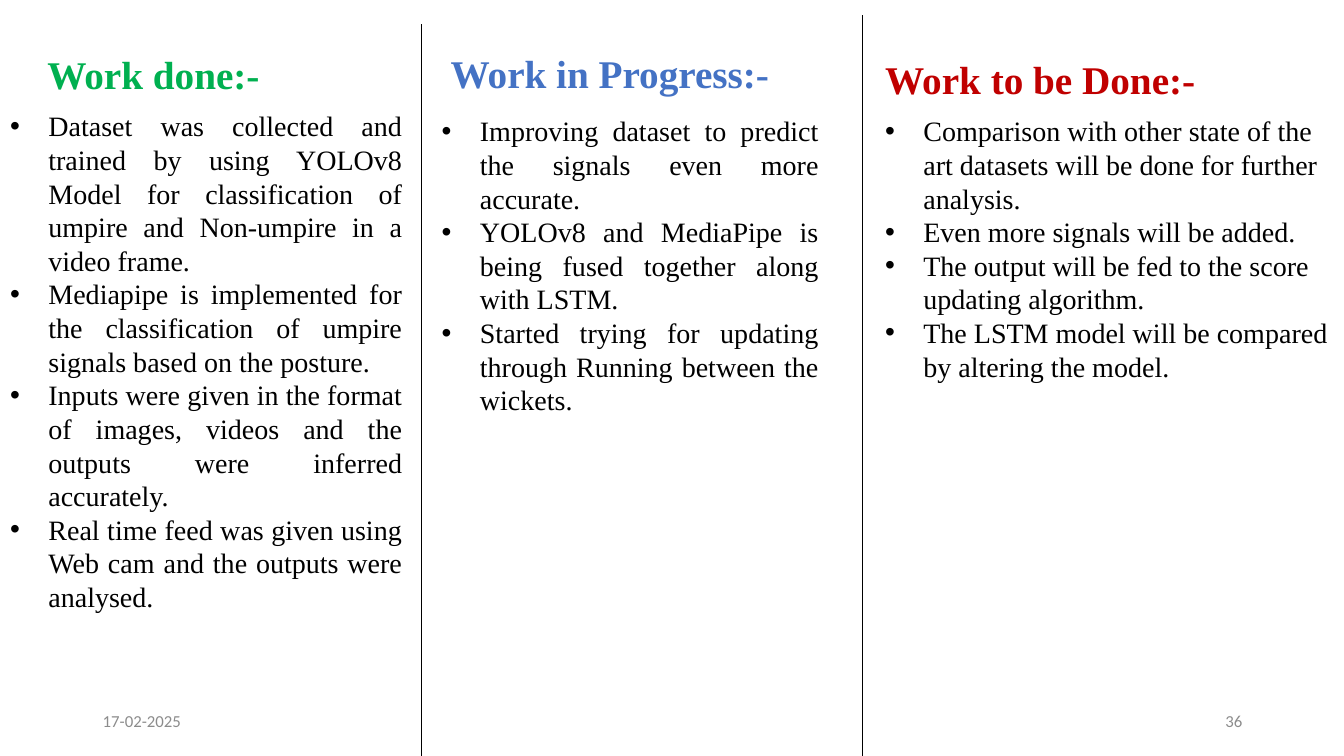
from dataclasses import dataclass

from lxml import etree
from pptx import Presentation
from pptx.dml.color import RGBColor
from pptx.enum import shapes, text
from pptx.oxml.ns import qn
from pptx.util import Inches, Pt


@dataclass(frozen=True)
class Theme:
    font: str = "Times New Roman"
    footer_font: str = "Calibri"
    heading_size: int = 28
    list_size: int = 20
    footer_size: int = 12
    ink: str = "000000"
    footer: str = "8C8C8C"
    done: str = "00B050"
    progress: str = "4472C4"
    planned: str = "C00000"


theme = Theme()
LEFT, RIGHT, JUSTIFY = text.PP_ALIGN.LEFT, text.PP_ALIGN.RIGHT, text.PP_ALIGN.JUSTIFY
TOP, MIDDLE = text.MSO_ANCHOR.TOP, text.MSO_ANCHOR.MIDDLE

# Content: boxes are left, top, width, height in inches
COLUMNS = [
    dict(heading="Work done:-", color=theme.done, heading_box=(0.37, 0.45, 3.36, 0.57),
         list_box=(0, 1.03, 4.09, 5.45), align=JUSTIFY, items=[
             "Dataset was collected and trained by using YOLOv8 Model for classification "
             "of umpire and Non-umpire in a video frame.",
             "Mediapipe is implemented for the classification of umpire signals based on "
             "the posture.",
             "Inputs were given in the format of images, videos and the outputs were "
             "inferred accurately.",
             "Real time feed was given using Web cam and the outputs were analysed."]),
    dict(heading="Work in Progress:-", color=theme.progress, heading_box=(4.37, 0.44, 4.03, 0.57),
         list_box=(4.28, 1.08, 3.94, 3.8), align=JUSTIFY, items=[
             "Improving dataset to predict the signals even more accurate.",
             "YOLOv8 and MediaPipe is being fused together along with LSTM.",
             "Started trying for updating through Running between the wickets."]),
    dict(heading="Work to be Done:-", color=theme.planned, heading_box=(8.68, 0.5, 4.89, 0.57),
         list_box=(8.68, 1.08, 4.73, 3.47), align=LEFT, items=[
             "Comparison with other state of the art datasets will be done for further "
             "analysis.",
             "Even more signals will be added.",
             "The output will be fed to the score updating algorithm.",
             "The LSTM model will be compared by altering the model."]),
]
DIVIDERS = [(4.18, 0.24), (8.55, 0.15)]
FOOTERS = [("17-02-2025", 0.92, LEFT), ("36", 9.42, RIGHT)]
SLIDE_WIDTH, SLIDE_HEIGHT = 13.33, 7.5
BULLET_INDENT = 0.38


def add_bullet(para):
    props = para._p.get_or_add_pPr()
    props.set("marL", str(Inches(BULLET_INDENT)))
    props.set("indent", str(-Inches(BULLET_INDENT)))
    etree.SubElement(props, qn("a:buFont")).set("typeface", "Arial")
    etree.SubElement(props, qn("a:buChar")).set("char", "•")


def fill_box(box, bounds, lines, size, color, align=LEFT, anchor=TOP,
             font=theme.font, bold=False, bullets=False):
    box.left, box.top, box.width, box.height = map(Inches, bounds)
    frame = box.text_frame
    frame.text = "\n".join(lines)
    frame.word_wrap = True
    frame.auto_size = text.MSO_AUTO_SIZE.NONE
    frame.vertical_anchor = anchor
    for para in frame.paragraphs:
        para.alignment = align
        para.space_before = Pt(0)
        if bullets:
            add_bullet(para)
        para.font.name = font
        para.font.size = Pt(size)
        para.font.bold = bold
        para.font.color.rgb = RGBColor.from_string(color)


deck = Presentation()
deck.slide_width, deck.slide_height = Inches(SLIDE_WIDTH), Inches(SLIDE_HEIGHT)
page = deck.slides.add_slide(deck.slide_layouts.get_by_name("Comparison"))


def new_box():
    return page.shapes.add_textbox(0, 0, 0, 0)


# Columns: the layout holds three headings and two lists, the third list is a text box
title, heading_2, list_1, heading_3, list_2 = page.placeholders
headings = [title, heading_2, heading_3]
lists = [list_1, list_2, new_box()]
for column, heading, items in zip(COLUMNS, headings, lists):
    fill_box(heading, column["heading_box"], [column["heading"]],
             theme.heading_size, column["color"], bold=True)
    fill_box(items, column["list_box"], column["items"], theme.list_size,
             theme.ink, align=column["align"], bullets=True)

# Dividers between the columns
for x, top in DIVIDERS:
    line = page.shapes.add_connector(shapes.MSO_CONNECTOR.STRAIGHT, Inches(x), Inches(top),
                                     Inches(x), Inches(SLIDE_HEIGHT))
    line.line.color.rgb = RGBColor.from_string(theme.ink)
    line.line.width = Pt(0.5)
    etree.SubElement(line._element.spPr, qn("a:effectLst"))

# Date and slide number
for words, left, align in FOOTERS:
    fill_box(new_box(), (left, 6.95, 3, 0.4), [words], theme.footer_size, theme.footer,
             align=align, anchor=MIDDLE, font=theme.footer_font)

deck.save("out.pptx")
